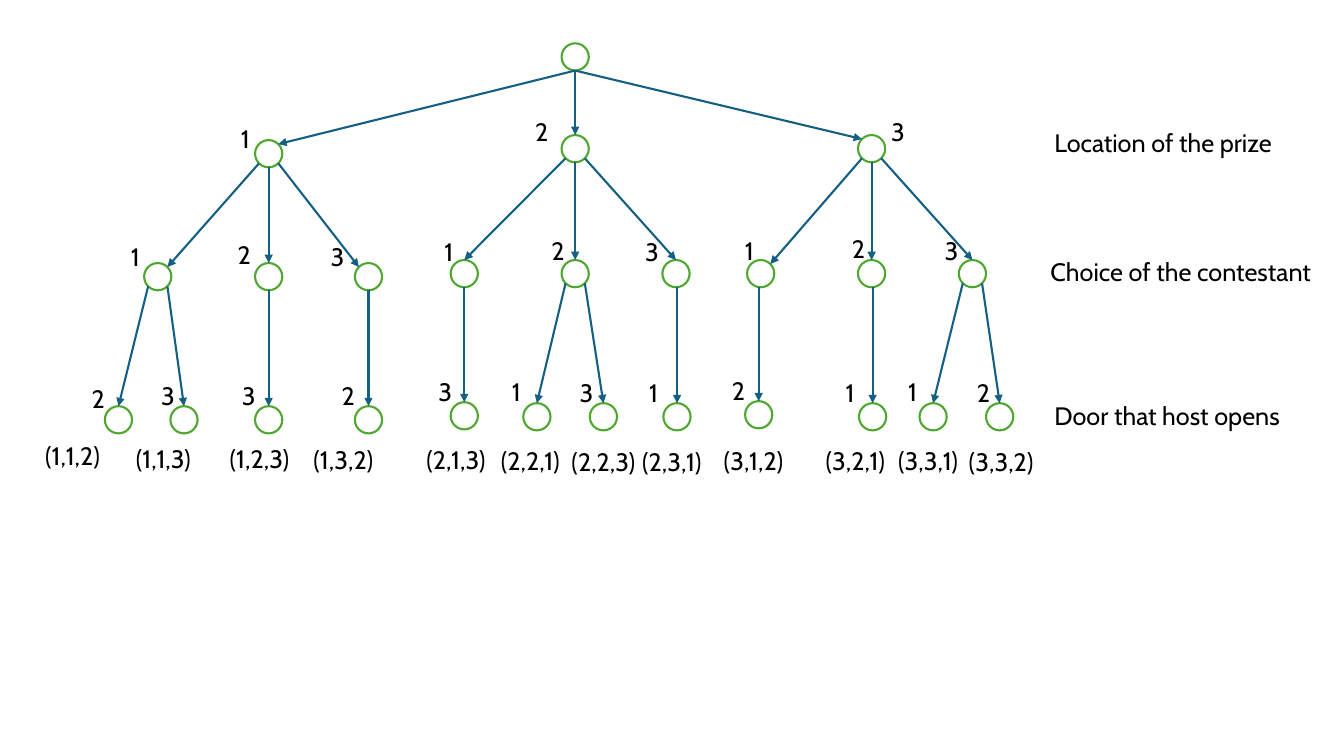
from math import sqrt

from lxml import etree
from pptx import Presentation
from pptx.dml.color import RGBColor
from pptx.enum.shapes import MSO_CONNECTOR, MSO_SHAPE
from pptx.enum.text import MSO_AUTO_SIZE
from pptx.oxml.ns import qn
from pptx.util import Emu, Pt

STRAIGHT = MSO_CONNECTOR.STRAIGHT
ELLIPSE = MSO_SHAPE.OVAL
FIT = MSO_AUTO_SIZE.SHAPE_TO_FIT_TEXT

PX = 9144
SIZE = 27
LABEL_W, CAPTION_W, TEXT_H = 34, 90, 40
GREEN, BLUE, WHITE, BLACK = "4EA72E", "156082", "FFFFFF", "000000"
FONT = {"name": "Cabin", "size": Pt(18)}

# Outcome so far: circle left, circle top, label left, label top
NODES = {
    "1": (253, 139, 229, 117),
    "2": (557, 134, 521, 111),
    "3": (851, 134, 874, 111),
    "11": (143, 261, 120, 234),
    "12": (253, 261, 226, 233),
    "13": (352, 261, 318, 234),
    "21": (447, 258, 431, 230),
    "22": (557, 258, 537, 229),
    "23": (657, 258, 630, 230),
    "31": (741, 258, 729, 229),
    "32": (851, 258, 835, 227),
    "33": (951, 258, 927, 229),
    "112": (104, 403, 81, 375),
    "113": (169, 403, 150, 372),
    "123": (253, 403, 230, 372),
    "132": (352, 403, 329, 372),
    "213": (447, 399, 425, 368),
    "221": (519, 400, 498, 368),
    "223": (585, 400, 565, 369),
    "231": (658, 400, 634, 369),
    "312": (739, 398, 716, 367),
    "321": (852, 400, 829, 369),
    "331": (912, 400, 891, 368),
    "332": (978, 400, 959, 369),
}
ROOT = (557, 43)
CAPTIONS = {
    "112": (35, 432), "113": (125, 435), "123": (218, 435), "132": (301, 436),
    "213": (413, 436), "221": (487, 437), "223": (557, 438), "231": (627, 438),
    "312": (708, 437), "321": (809, 437), "331": (881, 437), "332": (951, 438),
}
STAGES = [
    ("Location of the prize", 1036, 121, 240),
    ("Choice of the contestant", 1032, 249, 288),
    ("Door that host opens", 1036, 392, 248),
]
# Arrows that reach a circle at its upper right (1) or upper left (-1)
SIDE_ENDS = {"1": 1, "3": -1, "11": 1, "13": -1, "31": 1}


def px(n):
    """Turn px into EMU."""
    return Emu(round(n * PX))


def color(value):
    """Turn a hex string into a colour."""
    return RGBColor.from_string(value)


def add_node(s, x, y):
    """Add a circle of the tree."""
    sp = s.shapes.add_shape(ELLIPSE, px(x), px(y), px(SIZE), px(SIZE))
    sp.shadow.inherit = False
    sp.fill.solid()
    sp.fill.fore_color.rgb = color(WHITE)
    sp.line.color.rgb = color(GREEN)
    sp.line.width = Pt(1.5)
    return sp


def add_text(s, text, x, y, w):
    """Add a one-line text box."""
    tf = s.shapes.add_textbox(px(x), px(y), px(w), px(TEXT_H)).text_frame
    tf.word_wrap = False
    tf.auto_size = FIT
    r = tf.paragraphs[0].add_run()
    r.text = text
    for name, value in FONT.items():
        setattr(r.font, name, value)
    r.font.color.rgb = color(BLACK)


def rim(x, y, side, down):
    """Give the rim point left (-1), middle (0) or right (1), above (-1) or below (1)."""
    r = SIZE / 2
    diagonal = r / sqrt(2)
    return x + r + side * diagonal, y + r + down * (diagonal if side else r)


def add_arrow(s, start, end, child=None):
    """Add an arrow, joined to the top of child when one is given."""
    c = s.shapes.add_connector(STRAIGHT, *map(px, start + end))
    if child is not None:
        c.end_connect(child, 0)
    c.line.color.rgb = color(BLUE)
    c.line.width = Pt(1.5)
    etree.SubElement(c.line._get_or_add_ln(), qn("a:tailEnd"), type="triangle")
    etree.SubElement(c._element.spPr, qn("a:effectLst"))


def start_side(key):
    """Choose the side of the parent from which the branch leaves."""
    siblings = [k for k in NODES if k[:-1] == key[:-1]]
    if len(key) == 1 or len(siblings) == 1:
        return 0
    return {siblings[0]: -1, siblings[-1]: 1}.get(key, 0)


def add_branch(s, key, circles):
    """Add the arrow from a parent circle to the circle of key."""
    x, y = NODES[key][:2]
    parent = NODES[key[:-1]][:2] if len(key) > 1 else ROOT
    end_side = SIDE_ENDS.get(key, 0)
    start = rim(*parent, start_side(key), 1)
    end = rim(x, y, end_side, -1)
    if len(key) == 3 and start_side(key) == 0:
        start = (end[0], start[1])
    add_arrow(s, start, end, None if end_side else circles[key])


def main():
    """Build the slide."""
    prs = Presentation()
    prs.slide_width, prs.slide_height = px(1333), px(750)
    s = prs.slides.add_slide(prs.slide_layouts[6])
    add_node(s, *ROOT)
    circles = {key: add_node(s, *row[:2]) for key, row in NODES.items()}
    for key, row in NODES.items():
        add_branch(s, key, circles)
        add_text(s, key[-1], *row[2:], LABEL_W)
    for key, place in CAPTIONS.items():
        add_text(s, f"({','.join(key)})", *place, CAPTION_W)
    for stage in STAGES:
        add_text(s, *stage)
    prs.save("out.pptx")


if __name__ == "__main__":
    main()
